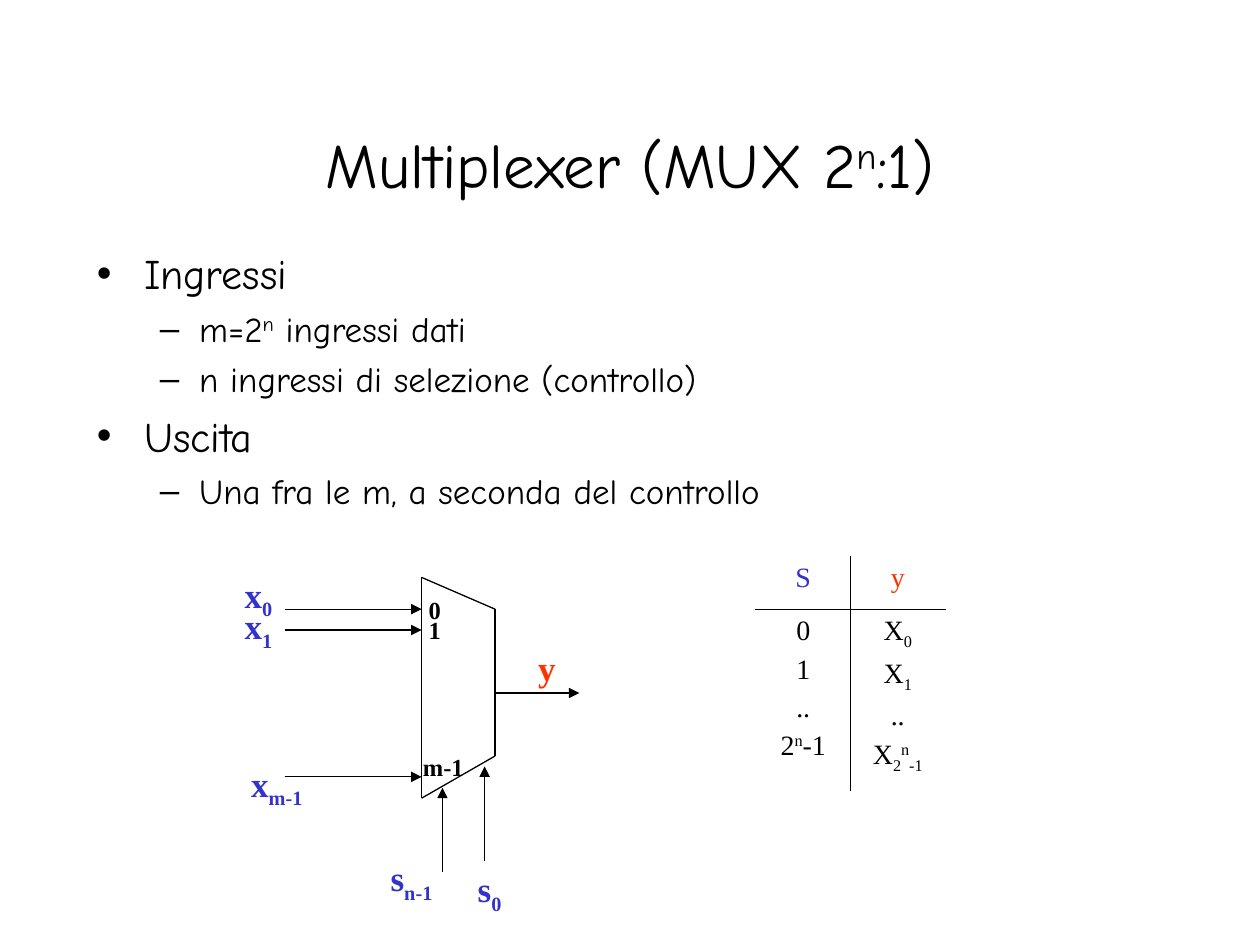
from itertools import pairwise

from lxml.etree import SubElement
from pptx import Presentation
from pptx.dml.color import RGBColor
from pptx.enum.shapes import MSO_CONNECTOR as Connector
from pptx.enum.text import MSO_AUTO_SIZE as AutoSize, PP_ALIGN as Align
from pptx.oxml.ns import qn
from pptx.util import Cm, Pt

COLORS = {"ink": "000000", "input": "3333CC", "output": "FF3300"}
HEADING_FONT = "Comic Neue"
DIAGRAM_FONT = "Times New Roman"
BASELINES = {"^": "30000", "_": "-25000"}

MUX_LEFT, MUX_RIGHT = 8.5, 9.98
MUX_CORNERS = [(MUX_LEFT, 11.64), (MUX_RIGHT, 12.28), (MUX_RIGHT, 15.24), (MUX_LEFT, 16.09)]
DATA_LEVELS = [12.28, 12.7, 15.66]
SELECTORS = [(8.92, 17.57, 15.88), (9.77, 17.36, 15.45)]
OUTPUT_LEVEL = 13.97

SIGNALS = [
    ("x|_0", 4.67, 11.43, 1.07),
    ("x|_1", 4.67, 12.07, 1.07),
    ("x|_m-1", 4.75, 15.24, 1.6),
    ("s|_n-1", 7.57, 17.15, 1.4),
    ("s|_0", 9.37, 17.36, 0.99),
]
PINS = [("0", 8.38, 11.88, 0.76), ("1", 8.38, 12.28, 0.76), ("m-1", 8.1, 15.03, 1.5)]
OUTLINE = [
    (0, "Ingressi"),
    (1, "m=2|^n| ingressi dati"),
    (1, "n ingressi di selezione (controllo)"),
    (0, "Uscita"),
    (1, "Una fra le m, a seconda del controllo"),
]
LEVELS = [
    {"size": 24, "before": 6, "margin": 0.95, "hanging": 0.95},
    {"size": 20, "before": 5, "margin": 2.06, "hanging": 0.79},
]
TRUTH_TABLE = [
    [(["S"], "input"), (["y"], "output")],
    [(["0", "1", "..", "2|^n|-1"], "ink"), (["X|_0", "X|_1", "..", "X|_2|^n|_-1"], "ink")],
]


def write(paragraph, text, font=DIAGRAM_FONT, size=20, color="ink", bold=False, align=None, before=0):
    paragraph.alignment = align
    paragraph.space_before = Pt(before)
    for part in text.split("|"):
        run = paragraph.add_run()
        run.text = part.lstrip("^_")
        run.font.name = font
        run.font.size = Pt(size)
        run.font.bold = bold
        run.font.color.rgb = RGBColor.from_string(COLORS[color])
        if part[0] in BASELINES:
            run.font._element.set("baseline", BASELINES[part[0]])


def next_paragraph(frame, index):
    return frame.add_paragraph() if index else frame.paragraphs[0]


def place(holder, left, top, width, height):
    holder.left, holder.top, holder.width, holder.height = map(Cm, (left, top, width, height))
    holder.text_frame.auto_size = AutoSize.NONE
    return holder.text_frame


def add_outline(frame):
    for index, (depth, text) in enumerate(OUTLINE):
        level = LEVELS[depth]
        paragraph = next_paragraph(frame, index)
        paragraph.level = depth
        properties = paragraph._p.get_or_add_pPr()
        properties.set("marL", str(Cm(level["margin"])))
        properties.set("indent", str(-Cm(level["hanging"])))
        write(paragraph, text, font=HEADING_FONT, size=level["size"],
              before=level["before"] if index else 0)


def add_wire(slide, start, end, arrow=False):
    wire = slide.shapes.add_connector(Connector.STRAIGHT, *map(Cm, start + end))
    wire.line.color.rgb = RGBColor.from_string(COLORS["ink"])
    wire.line.width = Pt(0.75)
    if arrow:
        SubElement(wire.line._get_or_add_ln(), qn("a:tailEnd"), type="triangle")
    SubElement(wire._element.spPr, qn("a:effectLst"))


def add_label(slide, text, left, top, width, height, **style):
    frame = slide.shapes.add_textbox(*map(Cm, (left, top, width, height))).text_frame
    frame.word_wrap = False
    frame.auto_size = AutoSize.SHAPE_TO_FIT_TEXT
    write(frame.paragraphs[0], text, bold=True, align=Align.RIGHT, **style)


def add_multiplexer(slide):
    for level in DATA_LEVELS:
        add_wire(slide, (5.74, level), (MUX_LEFT, level), arrow=True)
    for x, bottom, top in SELECTORS:
        add_wire(slide, (x, bottom), (x, top), arrow=True)
    add_wire(slide, (MUX_RIGHT, OUTPUT_LEVEL), (11.68, OUTPUT_LEVEL), arrow=True)
    for start, end in pairwise(MUX_CORNERS + MUX_CORNERS[:1]):
        add_wire(slide, start, end)
    for signal in SIGNALS:
        add_label(slide, *signal, 1.22, color="input")
    for pin in PINS:
        add_label(slide, *pin, 0.86, size=14)
    add_label(slide, "y", 10.59, 12.91, 0.86, 1.12, color="output")


def add_border(cell, side):
    border = SubElement(cell._tc.get_or_add_tcPr(), qn(f"a:ln{side}"), w=str(Pt(1.08)))
    fill = SubElement(border, qn("a:solidFill"))
    SubElement(fill, qn("a:srgbClr"), val=COLORS["ink"])


def add_truth_table(slide):
    table = slide.shapes.add_table(2, 2, Cm(15.24), Cm(11.22), Cm(3.81), Cm(4.73)).table
    table.first_row = table.horz_banding = False
    table.rows[0].height, table.rows[1].height = Cm(1.07), Cm(3.66)
    for row, entries in enumerate(TRUTH_TABLE):
        for column, (lines, color) in enumerate(entries):
            cell = table.cell(row, column)
            add_border(cell, "RL"[column])
            add_border(cell, "BT"[row])
            cell.fill.background()
            for index, line in enumerate(lines):
                write(next_paragraph(cell.text_frame, index), line, size=16, color=color,
                      align=Align.CENTER, before=4 if index else 0)


def main():
    deck = Presentation()
    deck.slide_width, deck.slide_height = Cm(25.4), Cm(19.05)
    slide = deck.slides.add_slide(deck.slide_layouts[1])
    title, body = slide.placeholders
    heading = place(title, 1.9, 1.7, 21.6, 3.18)
    write(heading.paragraphs[0], "Multiplexer (MUX 2|^n|:1)", font=HEADING_FONT, size=36,
          align=Align.CENTER)
    add_outline(place(body, 1.7, 4.87, 21.6, 5.72))
    add_multiplexer(slide)
    add_truth_table(slide)
    deck.save("out.pptx")


if __name__ == "__main__":
    main()
